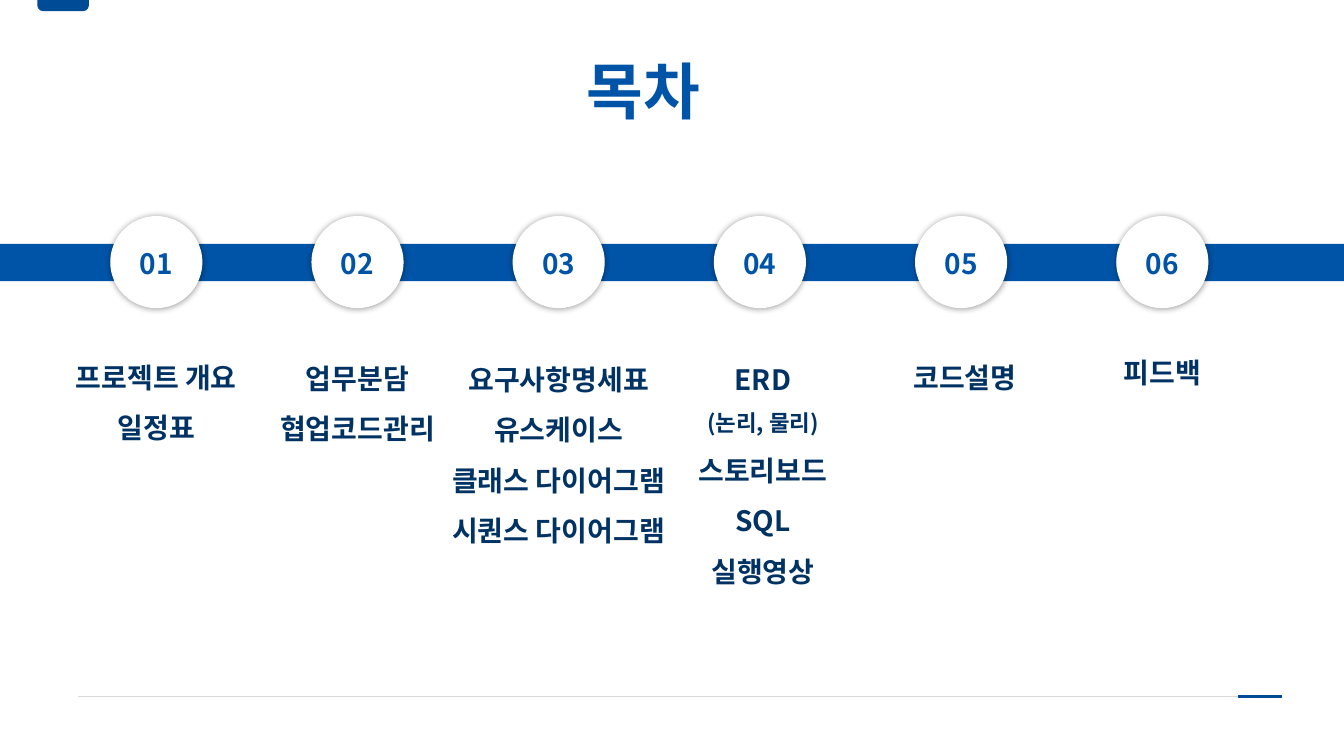
import dataclasses
import typing

import lxml.etree
import pptx
import pptx.dml.color
import pptx.enum.shapes
import pptx.enum.text
import pptx.oxml.ns
import pptx.util

Shape = pptx.enum.shapes.MSO_SHAPE
Align = pptx.enum.text.PP_ALIGN
Anchor = pptx.enum.text.MSO_ANCHOR
WIDE, HIGH = 13.33, 7.5
FIRST, PITCH = 11.63, 14.97


@dataclasses.dataclass(frozen=True)
class Theme:
    font: str = "Noto Sans CJK KR"
    blue: str = "0054A8"
    deep: str = "004B95"
    navy: str = "003264"
    white: str = "FFFFFF"
    gray: str = "D9D9D9"
    black: str = "000000"
    title: int = 44
    body: int = 20
    small: int = 16


class Box(typing.NamedTuple):
    left: float
    top: float
    width: float
    height: float


@dataclasses.dataclass(frozen=True)
class Step:
    lines: tuple[str, ...]
    top: float
    height: float
    shift: float = 0
    minor: int = -1


THEME = Theme()
STEPS = (
    Step(("프로젝트 개요", "일정표"), 45.47, 13.47),
    Step(("업무분담", "협업코드관리"), 45.6, 26.93),
    Step(("요구사항명세표", "유스케이스", "클래스 다이어그램", "시퀀스 다이어그램"), 45.73, 40.4),
    Step(("ERD", "(논리, 물리)", "스토리보드", "SQL", "실행영상"), 45.73, 32.27, 0.23, 1),
    Step(("코드설명",), 45.47, 5.87, 0.3),
    Step(("피드백",), 44.8, 6.67),
)


def across(share: float) -> int:
    return pptx.util.Inches(WIDE * share / 100)


def down(share: float) -> int:
    return pptx.util.Inches(HIGH * share / 100)


def place(box: Box) -> tuple[int, int, int, int]:
    return across(box.left), down(box.top), across(box.width), down(box.height)


def center(mid: float, top: float, width: float, height: float) -> Box:
    return Box(mid - width / 2, top, width, height)


def color(code: str) -> pptx.dml.color.RGBColor:
    return pptx.dml.color.RGBColor.from_string(code)


def add_xml(parent: typing.Any, tag: str, **attrs: str) -> typing.Any:
    return lxml.etree.SubElement(parent, pptx.oxml.ns.qn(tag), attrs)


def add_text(slide: typing.Any, box: Box, lines: tuple[str, ...], *,
             size: int = THEME.body, tint: str = THEME.navy, space: float = 1.5,
             align: typing.Any = Align.CENTER, anchor: typing.Any = Anchor.TOP,
             minor: int = -1) -> None:
    frame = slide.shapes.add_textbox(*place(box)).text_frame
    frame.word_wrap = True
    frame.auto_size = pptx.enum.text.MSO_AUTO_SIZE.SHAPE_TO_FIT_TEXT
    frame.vertical_anchor = anchor
    frame.margin_left = frame.margin_right = 0
    frame.margin_top = frame.margin_bottom = 0
    for index, line in enumerate(lines):
        para = frame.add_paragraph() if index else frame.paragraphs[0]
        para.alignment = align
        para.line_spacing = space
        run = para.add_run()
        run.text = line
        font = run.font
        font.name = THEME.font
        font.size = pptx.util.Pt(THEME.small if index == minor else size)
        font.bold = True
        font.color.rgb = color(tint)
        add_xml(run._r.get_or_add_rPr(), "a:ea", typeface=THEME.font)


def add_shape(slide: typing.Any, kind: typing.Any, box: Box, fill: str) -> typing.Any:
    shape = slide.shapes.add_shape(kind, *place(box))
    shape.shadow.inherit = False
    shape.fill.solid()
    shape.fill.fore_color.rgb = color(fill)
    shape.line.fill.background()
    return shape


def add_disc(slide: typing.Any, box: Box) -> None:
    disc = add_shape(slide, Shape.OVAL, box, THEME.white)
    disc.line.color.rgb = color(THEME.white)
    disc.line.width = pptx.util.Pt(1)
    effect = disc._element.spPr.find(pptx.oxml.ns.qn("a:effectLst"))
    shade = add_xml(effect, "a:outerShdw", blurRad=str(pptx.util.Pt(5)),
                    dist="0", dir="0", algn="ctr", rotWithShape="0")
    tone = add_xml(shade, "a:srgbClr", val=THEME.black)
    add_xml(tone, "a:alpha", val="40000")


def add_rule(slide: typing.Any, left: float, right: float, top: float,
             tint: str, width: float) -> None:
    rule = slide.shapes.add_connector(
        pptx.enum.shapes.MSO_CONNECTOR.STRAIGHT,
        across(left), down(top), across(right), down(top))
    rule.line.color.rgb = color(tint)
    rule.line.width = pptx.util.Pt(width)
    add_xml(rule._element.spPr, "a:effectLst")


def main() -> None:
    deck = pptx.Presentation()
    deck.slide_width = across(100)
    deck.slide_height = down(100)
    slide = deck.slides.add_slide(deck.slide_layouts[6])

    add_rule(slide, 5.78, 95.42, 92.13, THEME.gray, 0.25)
    add_rule(slide, 92.12, 95.42, 92.13, THEME.deep, 2)
    tab = add_shape(slide, Shape.ROUND_2_SAME_RECTANGLE, Box(2.78, 0, 3.83, 1.47), THEME.deep)
    tab.adjustments[0] = 0.5
    tab.rotation = 180
    add_text(slide, Box(43.66, 8, 10.28, 8.93), ("목차",), size=THEME.title,
             tint=THEME.blue, space=0.9, align=Align.LEFT, anchor=Anchor.MIDDLE)

    add_shape(slide, Shape.RECTANGLE, Box(0, 32.27, 100, 4.93), THEME.blue)
    for index, step in enumerate(STEPS):
        mid = FIRST + index * PITCH
        add_disc(slide, center(mid, 28.67, 6.75, 12))
        add_text(slide, center(mid, 33.07, 4.2, 4), (f"{index + 1:02}",),
                 tint=THEME.blue, space=0.9, anchor=Anchor.BOTTOM)
        add_text(slide, center(mid + step.shift, step.top, 16.05, step.height),
                 step.lines, minor=step.minor)

    deck.save("out.pptx")


if __name__ == "__main__":
    main()
